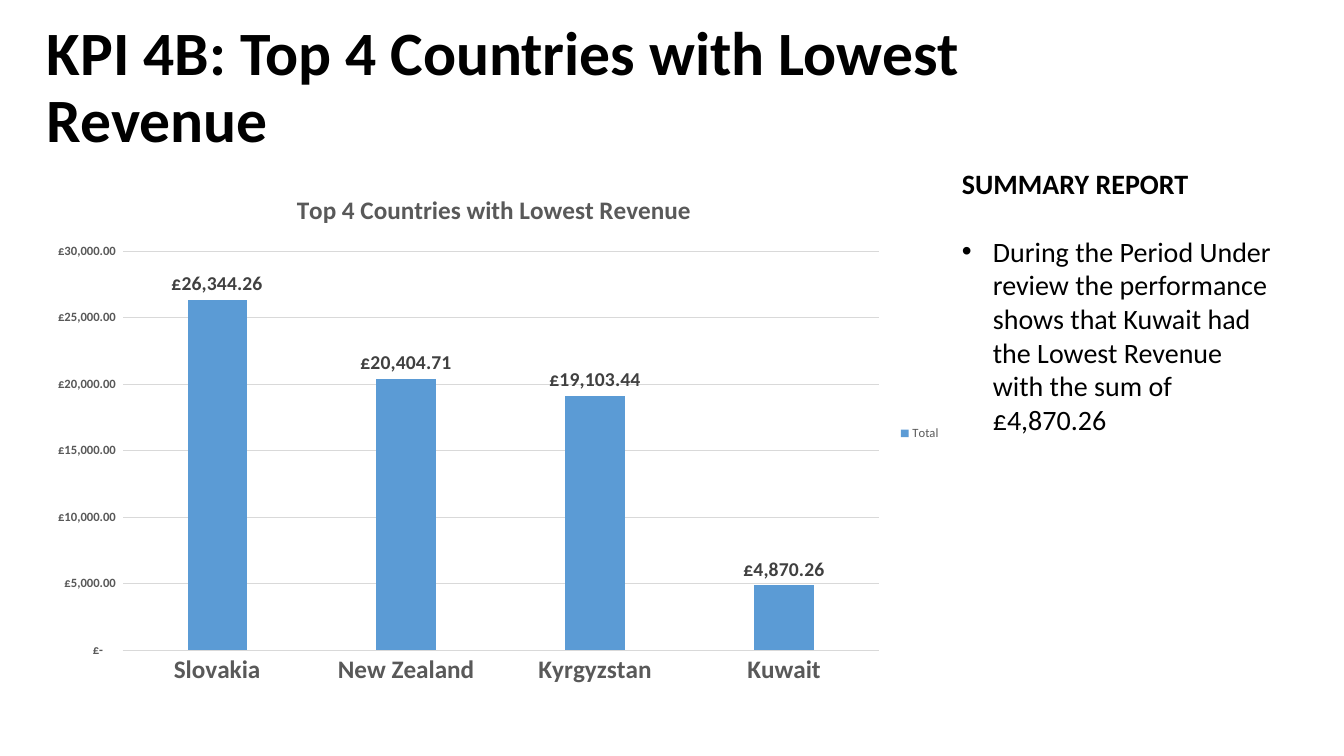
import pptx
import pptx.chart.data
import pptx.dml.color
import pptx.enum.chart
import pptx.enum.text
import pptx.oxml
import pptx.oxml.ns
import pptx.util

PX = 914400 / 100.8
FONT = "Calibri"
COLORS = {
    "text": "000000",
    "chart_text": "595959",
    "label": "404040",
    "line": "D9D9D9",
    "bar": "5B9BD5",
}
POUNDS = r'_-[$£-809]* #,##0.00_-;\-[$£-809]* #,##0.00_-;_-[$£-809]* "-"??_-;_-@_-'
REVENUE = {
    "Slovakia": 26344.26,
    "New Zealand": 20404.71,
    "Kyrgyzstan": 19103.44,
    "Kuwait": 4870.26,
}


def px(*lengths):
    """Turn pixel lengths into EMU."""
    return [pptx.util.Emu(round(length * PX)) for length in lengths]


def style_font(font, size, color, bold=False):
    font.name = FONT
    font.size = pptx.util.Pt(size)
    font.bold = bold
    font.color.rgb = pptx.dml.color.RGBColor.from_string(COLORS[color])


presentation = pptx.Presentation()
presentation.slide_width, presentation.slide_height = px(1344, 756)
slide = presentation.slides.add_slide(presentation.slide_layouts[6])

# Slide title
title_frame = slide.shapes.add_textbox(*px(37, 16, 1159, 146)).text_frame
title_frame.word_wrap = True
title_frame.vertical_anchor = pptx.enum.text.MSO_ANCHOR.MIDDLE
paragraph = title_frame.paragraphs[0]
paragraph.line_spacing = 0.9
run = paragraph.add_run()
run.text = "KPI 4B: Top 4 Countries with Lowest Revenue"
style_font(run.font, 44, "text", True)

# Summary report
summary_frame = slide.shapes.add_textbox(*px(952, 162, 334, 350)).text_frame
summary_frame.word_wrap = True
run = summary_frame.paragraphs[0].add_run()
run.text = "SUMMARY REPORT"
style_font(run.font, 20, "text", True)

paragraph = summary_frame.add_paragraph()
paragraph.space_before = pptx.util.Pt(24)
indent = px(31)[0]
properties = paragraph._p.get_or_add_pPr()
properties.set("marL", str(indent))
properties.set("indent", str(-indent))
for tag, name, value in (("a:buFont", "typeface", "Arial"), ("a:buChar", "char", "•")):
    bullet = pptx.oxml.parse_xml(f"<{tag} {pptx.oxml.ns.nsdecls('a')}/>")
    bullet.set(name, value)
    properties.append(bullet)
run = paragraph.add_run()
run.text = (
    "During the Period Under review the performance shows that Kuwait had "
    "the Lowest Revenue with the sum of £4,870.26"
)
style_font(run.font, 20, "text")

# Revenue chart
chart_data = pptx.chart.data.CategoryChartData(number_format=POUNDS)
chart_data.categories = list(REVENUE)
chart_data.add_series("Total", list(REVENUE.values()))
chart = slide.shapes.add_chart(
    pptx.enum.chart.XL_CHART_TYPE.COLUMN_CLUSTERED, *px(37, 172, 914, 523), chart_data
).chart
style_font(chart.font, 10, "text")

chart.has_title = True
run = chart.chart_title.text_frame.paragraphs[0].add_run()
run.text = "Top 4 Countries with Lowest Revenue"
style_font(run.font, 18, "chart_text", True)
chart.chart_title.include_in_layout = False

chart.has_legend = True
chart.legend.position = pptx.enum.chart.XL_LEGEND_POSITION.RIGHT
chart.legend.include_in_layout = False
style_font(chart.legend.font, 9, "chart_text")

countries, revenue = chart.category_axis, chart.value_axis
for axis, size in ((countries, 18), (revenue, 9)):
    axis.major_tick_mark = axis.minor_tick_mark = pptx.enum.chart.XL_TICK_MARK.NONE
    style_font(axis.tick_labels.font, size, "chart_text", True)
for line in (countries.format.line, revenue.major_gridlines.format.line):
    line.color.rgb = pptx.dml.color.RGBColor.from_string(COLORS["line"])
    line.width = pptx.util.Pt(0.75)
revenue.format.line.fill.background()
revenue.minimum_scale, revenue.maximum_scale, revenue.major_unit = 0, 30000, 5000
revenue.tick_labels.number_format = POUNDS
revenue.tick_labels.number_format_is_linked = False

plot = chart.plots[0]
plot.gap_width = 219
plot.overlap = -27
plot.vary_by_categories = False
fill = plot.series[0].format.fill
fill.solid()
fill.fore_color.rgb = pptx.dml.color.RGBColor.from_string(COLORS["bar"])
labels = plot.series[0].data_labels
labels.show_value = True
labels.position = pptx.enum.chart.XL_LABEL_POSITION.OUTSIDE_END
labels.number_format = POUNDS
labels.number_format_is_linked = False
style_font(labels.font, 14, "label", True)

presentation.save("out.pptx")
